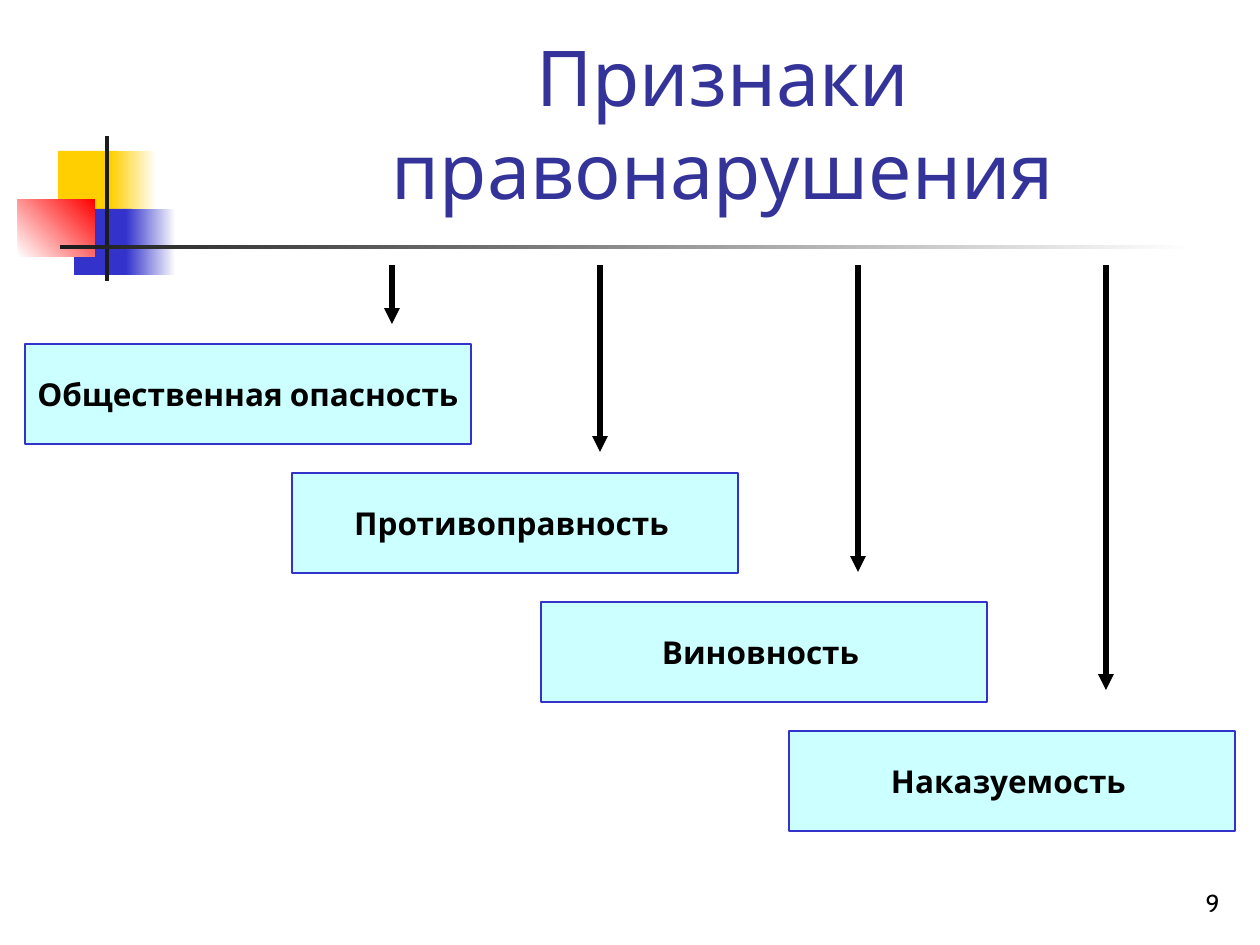
"""Build the slide on the features of an offence."""
from lxml.etree import SubElement
from pptx import Presentation
from pptx.dml.color import RGBColor
from pptx.enum.shapes import MSO_CONNECTOR, MSO_SHAPE
from pptx.enum.text import MSO_ANCHOR, MSO_AUTO_SIZE, PP_ALIGN
from pptx.oxml.ns import qn
from pptx.util import Inches, Pt

PX = Inches(1) / 126
FONT = "Cabin"
BLACK = RGBColor(0x00, 0x00, 0x00)
WHITE = RGBColor(0xFF, 0xFF, 0xFF)
CHARCOAL = RGBColor(0x1C, 0x1C, 0x1C)
YELLOW = RGBColor(0xFF, 0xCF, 0x01)
BLUE = RGBColor(0x33, 0x33, 0xCC)
RED = RGBColor(0xFF, 0x00, 0x00)
NAVY = RGBColor(0x33, 0x33, 0x99)
CYAN = RGBColor(0xCC, 0xFF, 0xFF)

ORNAMENT = [
    ((58, 151, 60, 66), [YELLOW], 0),
    ((111, 151, 45, 66), [YELLOW, WHITE], 0),
    ((74, 209, 58, 66), [BLUE], 0),
    ((126, 209, 50, 66), [BLUE, WHITE], 0),
    ((18, 199, 77, 58), [WHITE, RED], 45),
    ((105, 136, 4, 145), [CHARCOAL], 0),
    ((60, 245, 1134, 4), [CHARCOAL, WHITE], 0),
]
FEATURES = [
    ("Общественная опасность", 25, 392, 324),
    ("Противоправность ", 292, 600, 452),
    ("Виновность ", 541, 858, 572),
    ("Наказуемость ", 789, 1106, 690),
]
ARROW_TOP = 265
BOX_TOP, BOX_STEP, BOX_WIDTH, BOX_HEIGHT = 344, 129, 446, 100


def px(*lengths):
    """Turn pixel lengths into EMU."""
    return [round(length * PX) for length in lengths]


def write(shape, text, size, color, align, anchor, bold=False):
    """Put one formatted paragraph into a shape."""
    frame = shape.text_frame
    frame.text = text
    frame.vertical_anchor = anchor
    frame.auto_size = MSO_AUTO_SIZE.NONE
    para = frame.paragraphs[0]
    para.alignment = align
    font = para.runs[0].font
    font.name, font.size, font.bold = FONT, Pt(size), bold
    font.color.rgb = color
    return frame


def add_block(page, place, colors, angle=0):
    """Add an unlined rectangle with a plain or a two-colour fill."""
    block = page.shapes.add_shape(MSO_SHAPE.RECTANGLE, *px(*place))
    block.shadow.inherit = False
    block.line.fill.background()
    if len(colors) == 1:
        block.fill.solid()
        block.fill.fore_color.rgb = colors[0]
    else:
        block.fill.gradient()
        block.fill.gradient_angle = angle
        for stop, color in zip(block.fill.gradient_stops, colors):
            stop.color.rgb = color
    return block


def add_feature(page, text, left, top):
    """Add an outlined box that names one feature."""
    box = add_block(page, (left, top, BOX_WIDTH, BOX_HEIGHT), [CYAN])
    box.line.color.rgb = BLUE
    box.line.width = Pt(0.75)
    frame = write(box, text, 18, BLACK, PP_ALIGN.CENTER, MSO_ANCHOR.MIDDLE, True)
    frame.word_wrap = False


def add_arrow(page, x, bottom):
    """Add a vertical arrow that points down from the title rule."""
    ends = px(x, ARROW_TOP, x, bottom)
    arrow = page.shapes.add_connector(MSO_CONNECTOR.STRAIGHT, *ends)
    arrow.line.color.rgb = BLACK
    arrow.line.width = Pt(3)
    SubElement(arrow.line._get_or_add_ln(), qn("a:tailEnd"), type="triangle")
    SubElement(arrow._element.spPr, qn("a:effectLst"))


def add_title(page, text):
    """Place and format the title."""
    title = page.shapes.title
    title.left, title.top, title.width, title.height = px(186, 86, 1074, 135)
    frame = write(title, text, 44, NAVY, PP_ALIGN.CENTER, MSO_ANCHOR.BOTTOM)
    frame.word_wrap = True
    frame.margin_left, frame.margin_right = px(20, 20)


def add_page_number(page, text):
    """Add the page number at the lower right."""
    box = page.shapes.add_textbox(*px(970, 861, 262, 63))
    frame = write(box, text, 14, BLACK, PP_ALIGN.RIGHT, MSO_ANCHOR.BOTTOM)
    frame.word_wrap = True


def main():
    """Build and save the deck."""
    deck = Presentation()
    deck.slide_width, deck.slide_height = Inches(10), Inches(7.5)
    page = deck.slides.add_slide(deck.slide_layouts[5])
    for place, colors, angle in ORNAMENT:
        add_block(page, place, colors, angle)
    add_page_number(page, "9")
    add_title(page, "Признаки правонарушения")
    for row, (text, left, _, _) in enumerate(FEATURES):
        add_feature(page, text, left, BOX_TOP + row * BOX_STEP)
    for _, _, x, bottom in FEATURES:
        add_arrow(page, x, bottom)
    deck.save("out.pptx")


if __name__ == "__main__":
    main()
